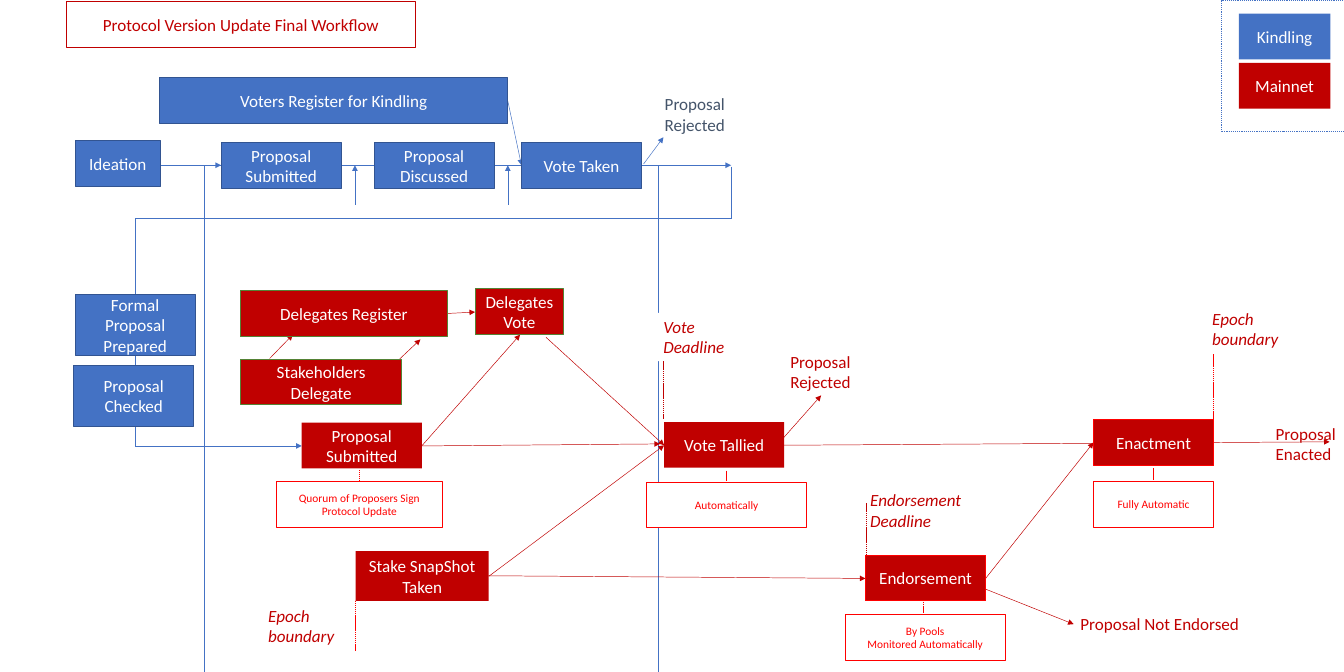
from lxml.etree import SubElement
from pptx import Presentation
from pptx.dml.color import RGBColor
from pptx.enum.dml import MSO_LINE
from pptx.enum.shapes import MSO_CONNECTOR, MSO_SHAPE
from pptx.enum.text import MSO_ANCHOR, MSO_AUTO_SIZE, PP_ALIGN
from pptx.oxml.ns import qn
from pptx.util import Inches, Pt

COLORS = {
    "blue": "4472C4", "navy": "325491", "slate": "44546A", "crimson": "C00000",
    "red": "FF0000", "green": "548235", "white": "FFFFFF",
}

# Box kinds: fill, outline, text colour, text size
KINDS = {
    "funding": ("blue", "navy", "white", 18),
    "mainnet": ("crimson", None, "white", 18),
    "gate": ("crimson", "red", "white", 18),
    "delegation": ("crimson", "green", "white", 18),
    "note": ("white", "red", "red", 12),
    "funding key": ("blue", None, "white", 18),
    "title": ("white", "crimson", "crimson", 18),
}


def color(name):
    """Return the named palette colour."""
    return RGBColor.from_string(COLORS[name])


def grid(cells):
    """Turn grid columns or rows, ten to the inch, into a length."""
    return Inches(cells / 10)


def write(frame, text, size=18, ink="crimson", italic=False,
          align=PP_ALIGN.LEFT, anchor=MSO_ANCHOR.TOP, wrap=True):
    """Fill a text frame, one paragraph for each line of text."""
    frame.text = text
    frame.word_wrap = wrap
    frame.auto_size = MSO_AUTO_SIZE.NONE
    frame.vertical_anchor = anchor
    for paragraph in frame.paragraphs:
        paragraph.alignment = align
        for run in paragraph.runs:
            run.font.name = "Calibri"
            run.font.size = Pt(size)
            run.font.italic = italic
            run.font.color.rgb = color(ink)


class Workflow:
    """Holds the current slide and draws the workflow elements in one style."""

    def __init__(self, slide):
        """Keep the slide to draw on."""
        self.slide = slide

    def paint(self, shape, fill=None, outline=None, dash=None):
        """Set the fill and outline of a shape."""
        if fill:
            shape.fill.solid()
            shape.fill.fore_color.rgb = color(fill)
        else:
            shape.fill.background()
        if outline:
            shape.line.color.rgb = color(outline)
            shape.line.width = Pt(1)
            shape.line.dash_style = dash
        else:
            shape.line.fill.background()

    def rectangle(self, place, **look):
        """Draw a plain rectangle at left, top, width, height."""
        shape = self.slide.shapes.add_shape(
            MSO_SHAPE.RECTANGLE, *map(grid, place))
        shape.shadow.inherit = False
        self.paint(shape, **look)
        return shape

    def fill_box(self, shape, kind, text):
        """Format a shape as one kind of box with centred text."""
        fill, outline, ink, size = KINDS[kind]
        self.paint(shape, fill, outline)
        write(shape.text_frame, text, size, ink,
              align=PP_ALIGN.CENTER, anchor=MSO_ANCHOR.MIDDLE)

    def title(self, text, place):
        """Move and format the title placeholder."""
        heading = self.slide.shapes.title
        heading.left, heading.top, heading.width, heading.height = map(grid, place)
        self.fill_box(heading, "title", text)

    def box(self, kind, text, left, top, width=17.6, height=6.7):
        """Draw a workflow step or note."""
        self.fill_box(self.rectangle((left, top, width, height)), kind, text)

    def deadline(self, text, left, top, width=13.7):
        """Draw an italic time mark on white."""
        mark = self.rectangle((left, top, width, 7.1), fill="white")
        write(mark.text_frame, text, italic=True)

    def outcome(self, text, left, top, width=10.9, height=7.1, ink="crimson"):
        """Write the result at the end of an arrow."""
        label = self.slide.shapes.add_textbox(
            *map(grid, (left, top, width, height)))
        write(label.text_frame, text, ink=ink, wrap="\n" not in text)

    def route(self, ink, *stops, arrow=True, dash=None):
        """Join the stops with straight lines, with an arrowhead at the last."""
        for start, end in zip(stops, stops[1:]):
            link = self.slide.shapes.add_connector(
                MSO_CONNECTOR.STRAIGHT, *map(grid, start + end))
            link.line.color.rgb = color(ink)
            link.line.width = Pt(0.5)
            link.line.dash_style = dash
            if arrow and end == stops[-1]:
                SubElement(link.line._get_or_add_ln(), qn("a:tailEnd"), type="triangle")
            SubElement(link._element.spPr, qn("a:effectLst"))


presentation = Presentation()
presentation.slide_width, presentation.slide_height = grid(196.9), grid(98.4)
flow = Workflow(presentation.slides.add_slide(presentation.slide_layouts[5]))
flow.title("Protocol Version Update Final Workflow", (9.8, 0.2, 51, 6.7))

FUNDING_ROW, BOTTOM = 24.2, 98.4
TALLY = (97.3, 65.2)

FUNDING_ROUTES = [
    [(11.7, FUNDING_ROW), (107.1, FUNDING_ROW)],
    [(29.9, FUNDING_ROW), (32.4, FUNDING_ROW)],
    [(74.4, 14.8), (76.4, FUNDING_ROW)],
    [(52, 30), (52, FUNDING_ROW)],
    [(74.4, 30), (74.4, FUNDING_ROW)],
    [(94.3, 24), (97.2, 20.1)],
    [(107.1, 24.4), (107.1, 32), (19.8, 32), (19.8, 65.3), (44.2, 65.3)],
]
for stops in FUNDING_ROUTES:
    flow.route("blue", *stops)
for column in (29.9, 96.4):
    flow.route("blue", (column, FUNDING_ROW), (column, BOTTOM), arrow=False)

MAINNET_ROUTES = [
    [(61.7, 65.3), (96.7, 65)],
    [(114.8, 64.1), (120.3, 57.9)],
    [(114.8, 65.2), (194.8, 64.7)],
    [(144.4, 84.7), (160.2, 64.8)],
    [(71.6, 84.4), TALLY],
    [(80, 49.4), TALLY],
    [(39.5, 52.5), (42.9, 49)],
    [(58.2, 52.9), (61.6, 49.7)],
    [(65.6, 45.9), (69.6, 45.7)],
    [(61.7, 65.4), (76.2, 49)],
    [(140.2, 84.6), (157.3, 91.4)],
    [(70.3, 84.3), (126.8, 84.7)],
]
for stops in MAINNET_ROUTES:
    flow.route("crimson", *stops)

flow.deadline("Vote Deadline", 96.2, 45.8)
flow.deadline("Epoch boundary", 176.6, 44.6)
flow.deadline("Epoch boundary", 38.3, 88.1)
flow.deadline("Endorsement Deadline", 126.5, 71.2, 16.1)

BOXES = [
    ("funding", "Voters Register for Kindling", 23.4, 11.4, 51),
    ("funding", "Ideation", 11, 20.6, 12.5),
    ("funding", "Proposal Submitted", 32.4, 20.9),
    ("funding", "Proposal Discussed", 54.8, 20.9),
    ("funding", "Vote Taken", 76.4, 20.9),
    ("funding", "Formal\nProposal\nPrepared", 11, 43.1, 17.6, 8.9),
    ("funding", "Proposal\nChecked", 10.8, 53.5, 17.6, 8.9),
    ("delegation", "Stakeholders Delegate", 35.3, 52.6, 23.5),
    ("delegation", "Delegates Register", 35.2, 42.6, 30.4),
    ("delegation", "Delegates Vote", 69.6, 42.3, 13),
    ("mainnet", "Proposal Submitted", 44.2, 61.9),
    ("mainnet", "Vote Tallied", 97.3, 61.8),
    ("mainnet", "Stake SnapShot\nTaken", 52.1, 80.7, 19.5, 7.3),
    ("gate", "Endorsement", 126.8, 81.3),
    ("gate", "Enactment", 160.2, 61.5),
    ("note", "Quorum of Proposers Sign\nProtocol Update", 40.5, 70.5, 24.3),
    ("note", "Automatically", 94.7, 70.6, 23.5),
    ("note", "By Pools\nMonitored Automatically", 123.8, 90, 23.5),
    ("note", "Fully Automatic", 160.2, 70.5),
    ("funding key", "Kindling", 181.5, 2, 13.4),
    ("mainnet", "Mainnet", 181.5, 9.2, 13.4),
]
for step in BOXES:
    flow.box(*step)
flow.rectangle((179, 0, 17.9, 19.2), outline="blue", dash=MSO_LINE.ROUND_DOT)

flow.outcome("Proposal\nRejected", 96.4, 13.2, ink="slate")
flow.outcome("Proposal\nRejected", 114.8, 50.9)
flow.outcome("Proposal\nEnacted", 185.9, 61.5)
flow.outcome("Proposal Not Endorsed", 157.3, 89.4, 30.6, 4)

# Dashed ties: colour, column, top and bottom row
TIES = [
    ("red", 52.6, 68.8, 70.5), ("red", 106.4, 68.9, 70.5),
    ("red", 135.2, 88.1, 89.8), ("red", 168.9, 68.6, 70.3),
    ("red", 177.7, 51.9, 64.8), ("red", 52.1, 88, 95.3),
    ("crimson", 97.1, 52.9, 61.3), ("crimson", 126.9, 73.7, 82.1),
]
for ink, column, top, bottom in TIES:
    flow.route(ink, (column, top), (column, bottom),
               arrow=False, dash=MSO_LINE.SQUARE_DOT)

presentation.save("out.pptx")
